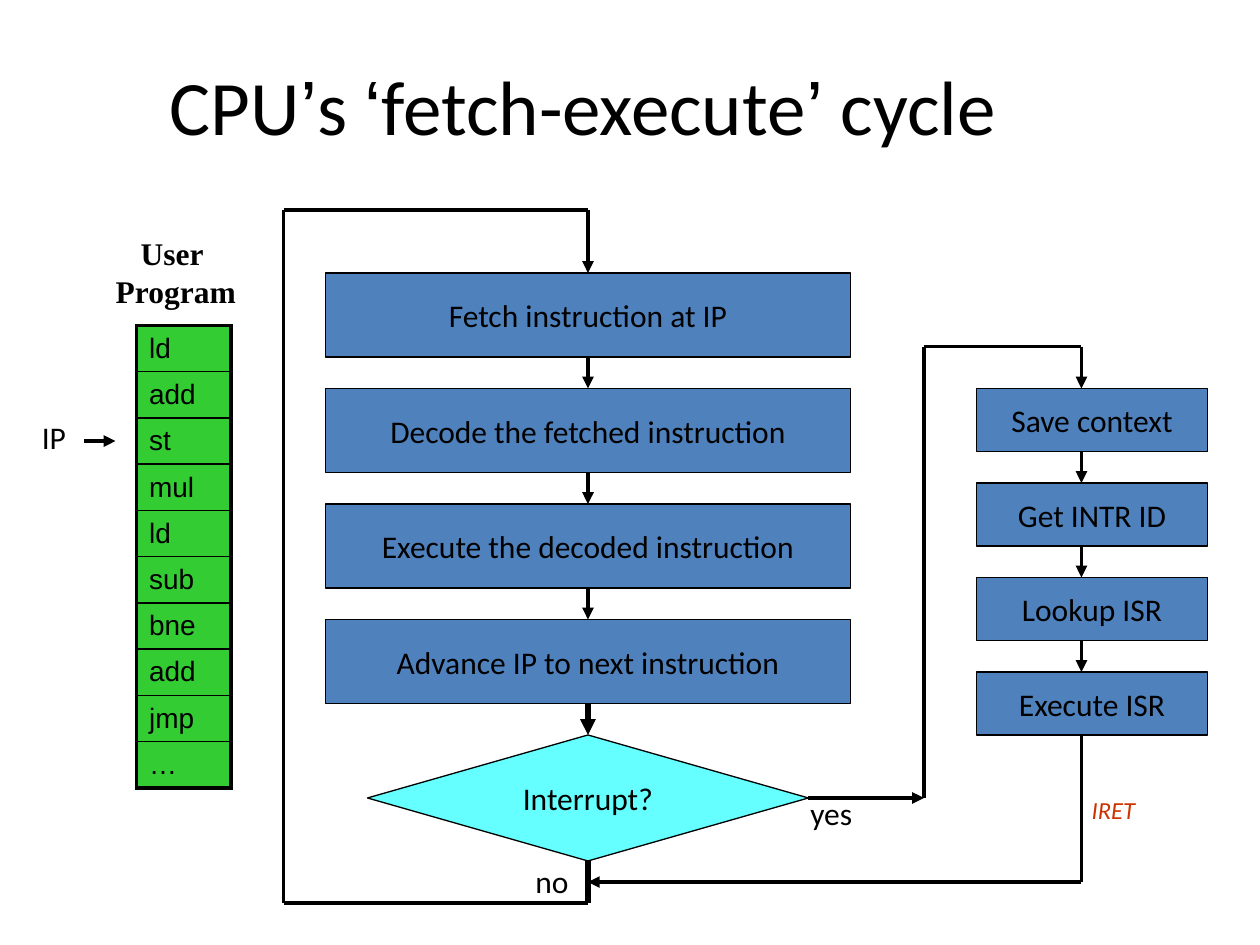
from itertools import groupby
from typing import NamedTuple

from lxml.etree import SubElement
from pptx import Presentation
from pptx.dml.color import RGBColor
from pptx.enum.shapes import MSO_CONNECTOR, MSO_SHAPE
from pptx.enum.text import MSO_ANCHOR, MSO_AUTO_SIZE, PP_ALIGN
from pptx.oxml.ns import qn
from pptx.util import Inches, Length, Pt

BLACK = RGBColor(0x00, 0x00, 0x00)
BLUE = RGBColor(0x4F, 0x81, 0xBD)
CYAN = RGBColor(0x66, 0xFF, 0xFF)
GREEN = RGBColor(0x33, 0xCC, 0x33)
RUST = RGBColor(0xCC, 0x33, 0x00)


class Step(NamedTuple):
    wording: str
    col: float
    row: float
    width: float
    height: float
    fill: RGBColor = BLUE
    outline: MSO_SHAPE = MSO_SHAPE.RECTANGLE


class Flow(NamedTuple):
    start: tuple[float, float]
    end: tuple[float, float]
    arrow: bool = False
    weight: float = 2.25


class Label(NamedTuple):
    wording: str
    col: float
    row: float
    width: float
    height: float
    size: float = 18
    font: str = "Calibri"
    color: RGBColor = BLACK
    bold: bool = False
    italic: bool = False
    align: PP_ALIGN = PP_ALIGN.LEFT


def grid(count: float) -> Length:
    """The slide is a grid of 120 columns by 90 rows, twelve to the inch."""
    return Inches(count / 12)


def style_text(frame, size: float, font: str = "Calibri", color: RGBColor = BLACK,
               bold: bool = False, italic: bool = False,
               align: PP_ALIGN = PP_ALIGN.CENTER) -> None:
    for paragraph in frame.paragraphs:
        paragraph.alignment = align
        for run in paragraph.runs:
            run.font.size, run.font.name = Pt(size), font
            run.font.bold, run.font.italic = bold, italic
            run.font.color.rgb = color


def draw_title(wording: str) -> None:
    frame = slide.shapes.add_textbox(grid(6), grid(1.5), grid(99), grid(17)).text_frame
    frame.word_wrap = True
    frame.vertical_anchor = MSO_ANCHOR.MIDDLE
    for _, letters in groupby(wording, key=lambda letter: letter in "‘’"):
        frame.paragraphs[0].add_run().text = "".join(letters)
    style_text(frame, 44)
    for run in frame.paragraphs[0].runs:
        if run.text in "‘’":
            run.font.name = "Arial"


def draw_step(step: Step) -> None:
    box = slide.shapes.add_shape(step.outline, grid(step.col), grid(step.row),
                                 grid(step.width), grid(step.height))
    box.shadow.inherit = False
    box.fill.solid()
    box.fill.fore_color.rgb = step.fill
    box.line.color.rgb = BLACK
    box.line.width = Pt(0.75)
    box.text_frame.text = step.wording
    box.text_frame.word_wrap = False
    box.text_frame.vertical_anchor = MSO_ANCHOR.MIDDLE
    style_text(box.text_frame, 18)


def draw_flow(flow: Flow) -> None:
    line = slide.shapes.add_connector(MSO_CONNECTOR.STRAIGHT,
                                      *map(grid, flow.start + flow.end))
    line.line.color.rgb = BLACK
    line.line.width = Pt(flow.weight)
    properties = line.element.spPr
    if flow.arrow:
        SubElement(properties.find(qn("a:ln")), qn("a:tailEnd"), type="triangle")
    SubElement(properties, qn("a:effectLst"))


def draw_label(label: Label) -> None:
    frame = slide.shapes.add_textbox(*map(grid, label[1:5])).text_frame
    frame.text = label.wording
    frame.word_wrap = False
    frame.auto_size = MSO_AUTO_SIZE.SHAPE_TO_FIT_TEXT
    style_text(frame, *label[5:])


def border_cell(cell, weights: dict[str, float]) -> None:
    properties = cell._tc.get_or_add_tcPr()
    for side, weight in weights.items():
        edge = SubElement(properties, qn(f"a:ln{side}"), w=str(Pt(weight)))
        fill = SubElement(edge, qn("a:solidFill"))
        SubElement(fill, qn("a:srgbClr"), val=str(BLACK))


def draw_program(instructions: list[str]) -> None:
    count = len(instructions)
    program = slide.shapes.add_table(count, 1, grid(13), grid(31), grid(9), grid(44)).table
    program.first_row = program.horz_banding = False
    for index, instruction in enumerate(instructions):
        program.rows[index].height = grid(44 / count)
        cell = program.cell(index, 0)
        border_cell(cell, {"L": 2.25, "R": 2.25,
                           "T": 2.25 if index == 0 else 1,
                           "B": 2.25 if index == count - 1 else 1})
        cell.fill.solid()
        cell.fill.fore_color.rgb = GREEN
        cell.vertical_anchor = MSO_ANCHOR.MIDDLE
        cell.text_frame.text = instruction
        style_text(cell.text_frame, 16, "Arial", align=PP_ALIGN.LEFT)


presentation = Presentation()
presentation.slide_width, presentation.slide_height = grid(120), grid(90)
slide = presentation.slides.add_slide(presentation.slide_layouts[6])

draw_title("CPU’s ‘fetch-execute’ cycle")

# Main cycle and interrupt service steps
CYCLE = ["Fetch instruction at IP", "Decode the fetched instruction",
         "Execute the decoded instruction", "Advance IP to next instruction"]
SERVICE = ["Save context", "Get INTR ID", "Lookup ISR", "Execute ISR"]
steps = [Step(wording, 31, 26 + 11 * i, 50, 8) for i, wording in enumerate(CYCLE)]
steps += [Step(wording, 93, 37 + 9 * i, 22, 6) for i, wording in enumerate(SERVICE)]
steps.append(Step("Interrupt?", 35, 70, 42, 12, CYAN, MSO_SHAPE.DIAMOND))
for step in steps:
    draw_step(step)

# Arrows between steps, then the loop back and the interrupt branch
CYCLE_X, LOOP_X, BRANCH_X, SERVICE_X = 56, 27, 88, 103
flows = [Flow((CYCLE_X, 34 + 11 * i), (CYCLE_X, 37 + 11 * i), True, 3 if i == 3 else 2.25)
         for i in range(4)]
flows += [Flow((SERVICE_X, 43 + 9 * i), (SERVICE_X, 46 + 9 * i), True) for i in range(3)]
flows += [
    Flow((CYCLE_X, 82), (CYCLE_X, 86), weight=3),
    Flow((CYCLE_X, 86), (LOOP_X, 86)),
    Flow((LOOP_X, 86), (LOOP_X, 20)),
    Flow((LOOP_X, 20), (CYCLE_X, 20)),
    Flow((CYCLE_X, 20), (CYCLE_X, 26), True),
    Flow((77, 76), (BRANCH_X, 76), True),
    Flow((BRANCH_X, 76), (BRANCH_X, 33)),
    Flow((BRANCH_X, 33), (SERVICE_X, 33)),
    Flow((SERVICE_X, 33), (SERVICE_X, 37), True),
    Flow((SERVICE_X, 70), (SERVICE_X, 84)),
    Flow((SERVICE_X, 84), (CYCLE_X, 84), True),
    Flow((8, 42), (11, 42), True),
]
for flow in flows:
    draw_flow(flow)

# Labels
for label in [
    Label("no", 49.8, 81.5, 5.8, 4.8),
    Label("yes", 76, 75, 7.1, 4.8),
    Label("IRET", 102.8, 75.1, 7.7, 4, 14, color=RUST, italic=True),
    Label("User \nProgram", 9.8, 21.7, 13.9, 8.4, font="Times New Roman",
          bold=True, align=PP_ALIGN.CENTER),
    Label("IP", 2.8, 39.2, 5.3, 4.8),
]:
    draw_label(label)

# User program listing
draw_program(["ld", "add", "st", "mul", "ld", "sub", "bne", "add", "jmp", "…"])

presentation.save("out.pptx")
